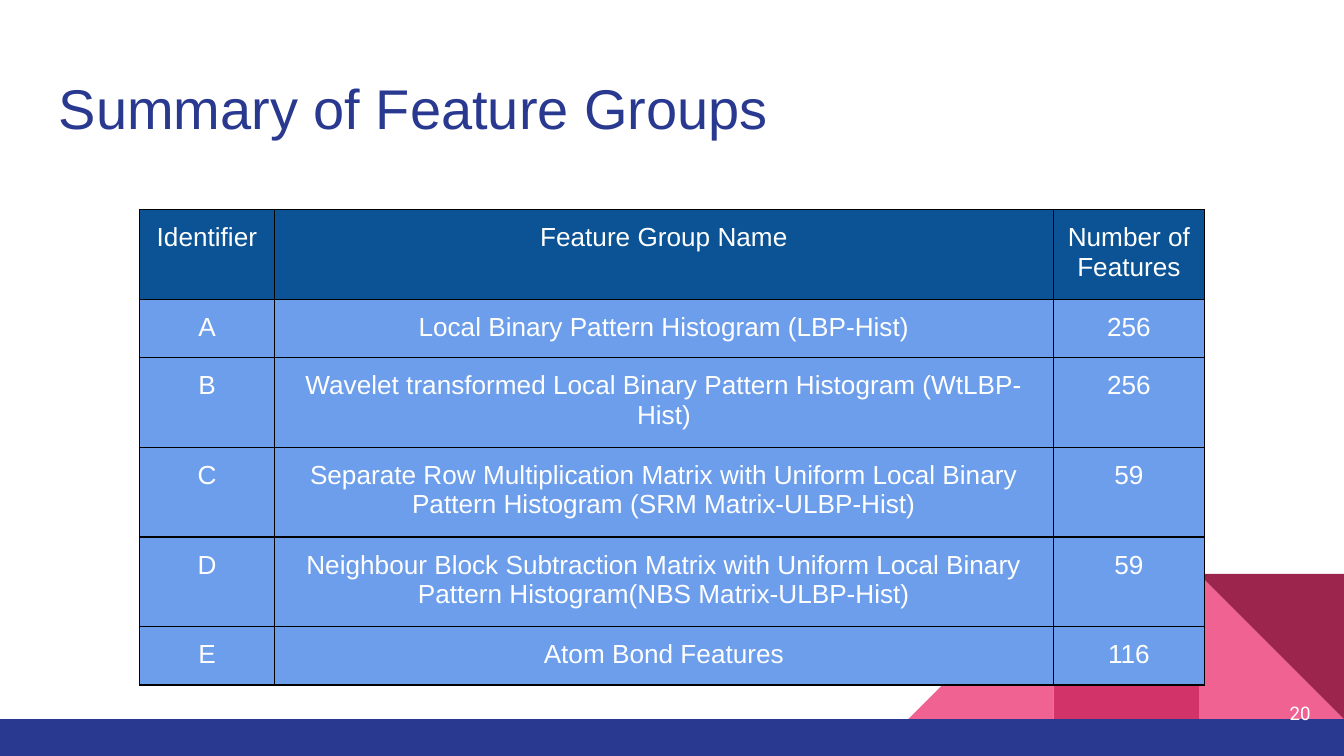
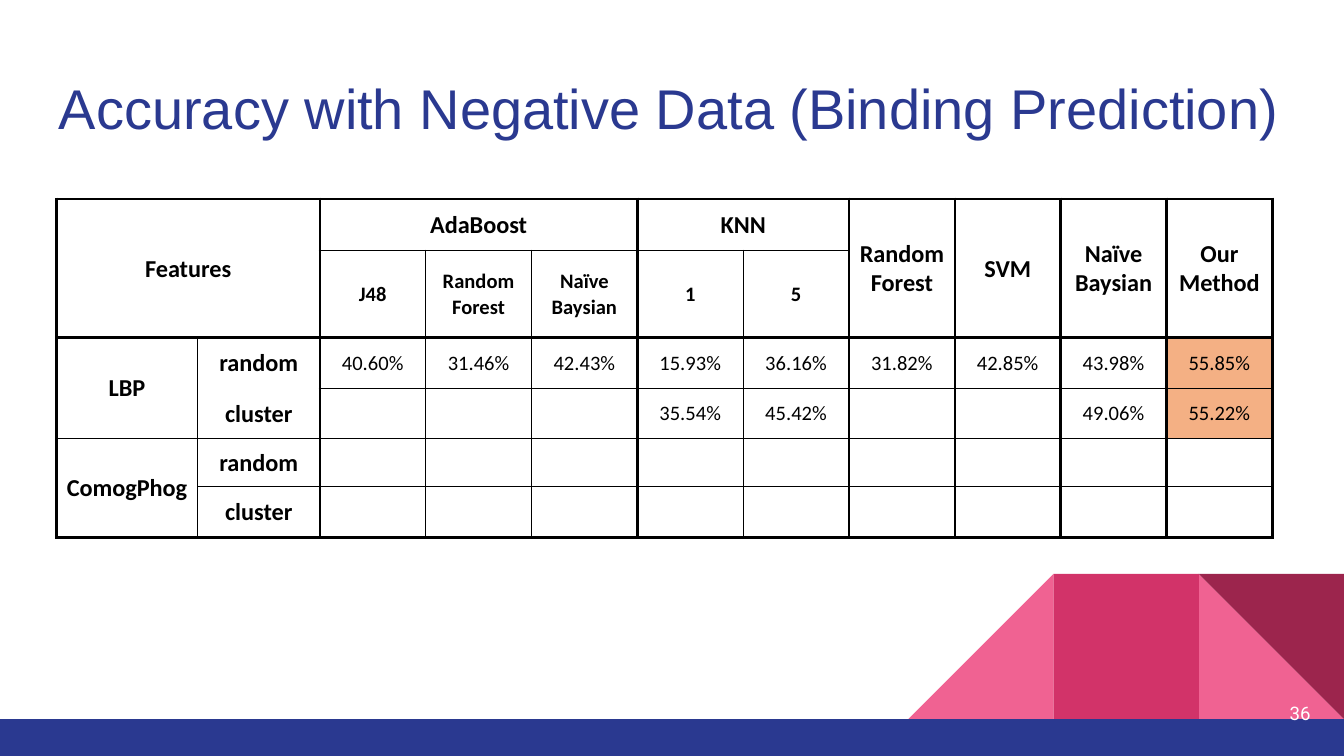
import pptx
import pptx.util
import pptx.dml.color
import pptx.enum.shapes
import pptx.enum.text
import pptx.oxml
import pptx.oxml.ns

Inches = pptx.util.Inches
RGBColor = pptx.dml.color.RGBColor
SHAPE = pptx.enum.shapes.MSO_SHAPE
ALIGN = pptx.enum.text.PP_ALIGN
ANCHOR = pptx.enum.text.MSO_ANCHOR

NAVY = RGBColor(0x2A, 0x39, 0x90)
PINK = RGBColor(0xF0, 0x62, 0x92)
ROSE = RGBColor(0xD2, 0x33, 0x69)
WINE = RGBColor(0x9C, 0x25, 0x4D)
BLUE = RGBColor(0x0B, 0x53, 0x94)
SKY = RGBColor(0x6D, 0x9E, 0xEB)
PEACH = RGBColor(0xF4, 0xB0, 0x84)
WHITE = RGBColor(0xFF, 0xFF, 0xFF)
BLACK = RGBColor(0x00, 0x00, 0x00)


def write(frame, text, font="Arial", size=14, color=BLACK, bold=False, align=ALIGN.LEFT):
    frame.word_wrap = True
    para = frame.paragraphs[0]
    para.text = text
    para.alignment = align
    for run in para.runs:
        run.font.name = font
        run.font.size = pptx.util.Pt(size)
        run.font.bold = bold
        run.font.color.rgb = color


def dress(cell, fill, inset, foot, widths):
    cell.margin_left = cell.margin_right = cell.margin_top = Inches(inset)
    cell.margin_bottom = Inches(foot)
    if fill is None:
        cell.fill.background()
    else:
        cell.fill.solid()
        cell.fill.fore_color.rgb = fill
    props = cell._tc.get_or_add_tcPr()
    for spot, (side, width) in enumerate(zip("LRTB", widths)):
        paint = f'<a:solidFill><a:srgbClr val="{BLACK}"/></a:solidFill>' if width else "<a:noFill/>"
        line = pptx.oxml.parse_xml(
            f'<a:ln{side} {pptx.oxml.ns.nsdecls("a")} w="{int(width * 12700)}">{paint}</a:ln{side}>')
        props.insert(spot, line)


deck = pptx.Presentation()
deck.slide_width = Inches(10)
deck.slide_height = Inches(5.625)

decor = [
    (SHAPE.RIGHT_TRIANGLE, 8.92, 4.27, 1.08, 1.08, PINK, 0, False),
    (SHAPE.RIGHT_TRIANGLE, 6.76, 4.27, 1.08, 1.08, PINK, 0, True),
    (SHAPE.RECTANGLE, 7.84, 4.27, 1.08, 1.08, ROSE, 0, False),
    (SHAPE.RIGHT_TRIANGLE, 8.92, 4.27, 1.08, 1.08, WINE, 180, False),
    (SHAPE.RECTANGLE, 0, 5.35, 10, 0.28, NAVY, 0, False),
]
grids = [
    ("Summary of Feature Groups", "20", 1.04, 1.56, [1, 5.8, 1.12],
     [0.64, 0.42, 0.64, 0.64, 0.64, 0.42]),
    ("Accuracy with Negative Data (Binding Prediction)", "36", 0.42, 1.48,
     [1.05, 0.91] + [7.09 / 9] * 9, [0.38, 0.65, 0.38, 0.37, 0.36, 0.38]),
]
tables = []
for title, number, left, top, cols, rows in grids:
    slide = deck.slides.add_slide(deck.slide_layouts[6])
    for kind, x, y, wide, high, color, turn, flip in decor:
        shape = slide.shapes.add_shape(kind, Inches(x), Inches(y), Inches(wide), Inches(high))
        shape.shadow.inherit = False
        shape.fill.solid()
        shape.fill.fore_color.rgb = color
        shape.line.fill.background()
        shape.rotation = turn
        if flip:
            shape._element.spPr.xfrm.set("flipH", "1")

    head = slide.shapes.add_textbox(Inches(0.34), Inches(0.45), Inches(9.32), Inches(0.66))
    write(head.text_frame, title, size=30, color=NAVY)

    page = slide.shapes.add_textbox(Inches(9.25), Inches(5.09), Inches(0.6), Inches(0.43))
    page.text_frame.vertical_anchor = ANCHOR.MIDDLE
    write(page.text_frame, number, font="Roboto", size=10, color=WHITE, align=ALIGN.RIGHT)

    for box in (head, page):
        box.text_frame.margin_left = box.text_frame.margin_right = Inches(0.1)
        box.text_frame.margin_top = box.text_frame.margin_bottom = Inches(0.1)

    table = slide.shapes.add_table(len(rows), len(cols), Inches(left), Inches(top),
                                   Inches(sum(cols)), Inches(sum(rows))).table
    table.first_row = table.horz_banding = False
    for col, width in zip(table.columns, cols):
        col.width = Inches(width)
    for row, height in zip(table.rows, rows):
        row.height = Inches(height)
    tables.append(table)

groups, scores = tables

names = [
    ("Identifier", "Feature Group Name", "Number of Features"),
    ("A", "Local Binary Pattern Histogram (LBP-Hist)", "256"),
    ("B", "Wavelet transformed Local Binary Pattern Histogram (WtLBP-Hist)", "256"),
    ("C", "Separate Row Multiplication Matrix with Uniform Local Binary "
          "Pattern Histogram (SRM Matrix-ULBP-Hist)", "59"),
    ("D", "Neighbour Block Subtraction Matrix with Uniform Local Binary "
          "Pattern Histogram(NBS Matrix-ULBP-Hist)", "59"),
    ("E", "Atom Bond Features", "116"),
]
for r, line in enumerate(names):
    for c, text in enumerate(line):
        cell = groups.cell(r, c)
        write(cell.text_frame, text, color=WHITE, align=ALIGN.CENTER)
        dress(cell, SKY if r else BLUE, 0.1, 0.1, [0.75] * 4)

rates = [
    ["Features", "", "AdaBoost", "", "", "KNN", "", "Random\nForest", "SVM", "Naïve\nBaysian", "Our\nMethod"],
    ["", "", "J48", "Random\nForest", "Naïve\nBaysian", "1", "5", "", "", "", ""],
    ["LBP", "random", "40.60%", "31.46%", "42.43%", "15.93%", "36.16%", "31.82%", "42.85%", "43.98%", "55.85%"],
    ["", "cluster", "", "", "", "35.54%", "45.42%", "", "", "49.06%", "55.22%"],
    ["ComogPhog", "random"] + [""] * 9,
    ["", "cluster"] + [""] * 9,
]
spans = [(0, 0, 1, 1), (0, 2, 0, 4), (0, 5, 0, 6), (2, 0, 3, 0), (4, 0, 5, 0)]
spans += [(0, c, 1, c) for c in range(7, 11)]
for r, c, low, end in spans:
    scores.cell(r, c).merge(scores.cell(low, end))

thick_x = {0, 2, 5, 7, 8, 9, 10, 11}
thick_y = {0, 2, 6}
for r, line in enumerate(rates):
    for c, text in enumerate(line):
        cell = scores.cell(r, c)
        if cell.is_spanned:
            continue
        low = r + (cell.span_height if cell.is_merge_origin else 1)
        end = c + (cell.span_width if cell.is_merge_origin else 1)
        widths = [1.5 if x in thick_x else 0.5 for x in (c, end)]
        widths += [0 if c == 1 and y == 3 else 1.5 if y in thick_y else 0.5 for y in (r, low)]
        cell.vertical_anchor = ANCHOR.MIDDLE
        if text:
            write(cell.text_frame, text, font="Calibri", size=13 if r == 0 or c < 2 else 11,
                  bold=r < 2 or c < 2, align=ALIGN.CENTER)
        dress(cell, PEACH if c == 10 and r in (2, 3) else None, 0.01, 0, widths)

deck.save("out.pptx")
